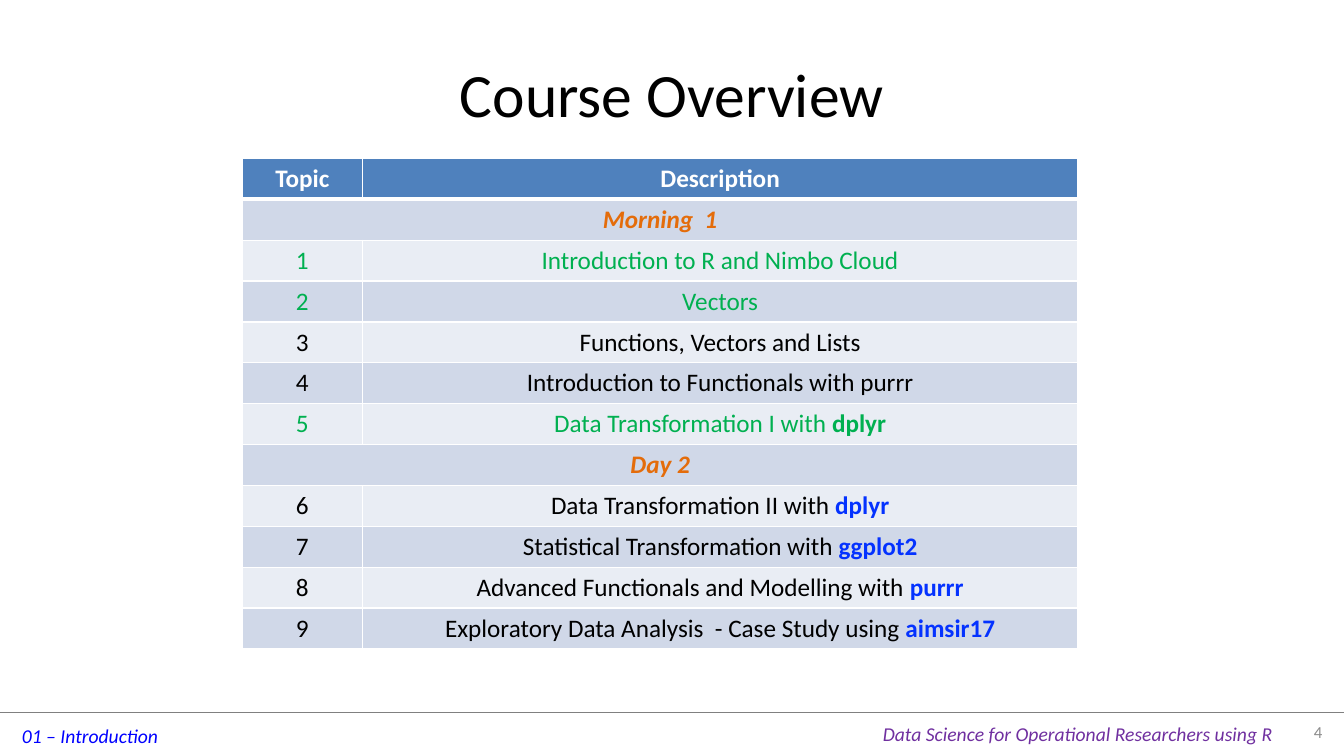
from lxml import etree
from pptx import Presentation
from pptx.dml.color import RGBColor
from pptx.enum.shapes import MSO_CONNECTOR
from pptx.enum.text import MSO_ANCHOR, PP_ALIGN
from pptx.oxml.ns import qn
from pptx.util import Pt

STRAIGHT = MSO_CONNECTOR.STRAIGHT
TOP, MIDDLE = MSO_ANCHOR.TOP, MSO_ANCHOR.MIDDLE
LEFT, CENTER, RIGHT = PP_ALIGN.LEFT, PP_ALIGN.CENTER, PP_ALIGN.RIGHT

FONT = "Calibri"
WHITE = RGBColor(0xFF, 0xFF, 0xFF)
BLACK = RGBColor(0x00, 0x00, 0x00)
GREEN = RGBColor(0x00, 0xB0, 0x50)
ORANGE = RGBColor(0xE4, 0x6C, 0x0A)
PACKAGE_BLUE = RGBColor(0x04, 0x32, 0xFF)
FOOTER_BLUE = RGBColor(0x00, 0x00, 0xFF)
PURPLE = RGBColor(0x70, 0x30, 0xA0)
NUMBER_GRAY = RGBColor(0x8C, 0x8C, 0x8C)
RULE_GRAY = RGBColor(0x80, 0x80, 0x80)
HEADER_FILL = RGBColor(0x4F, 0x81, 0xBD)
DARK_BAND = RGBColor(0xD0, 0xD8, 0xE8)
LIGHT_BAND = RGBColor(0xE9, 0xED, 0xF4)

SLIDE_WIDTH, SLIDE_HEIGHT = 960, 540
TABLE_LEFT, TABLE_TOP = 173.1, 113.2
COLUMN_WIDTHS = (85.7, 511.2)
ROW_HEIGHT = 29.2
THIN, THICK = 1, 3

# Sessions, each with its topics: description, package name, text and package colours
SESSIONS = [
    ("Morning  1", [
        ("Introduction to R and Nimbo Cloud", "", GREEN, GREEN),
        ("Vectors", "", GREEN, GREEN),
        ("Functions, Vectors and Lists", "", BLACK, BLACK),
        ("Introduction to Functionals with purrr", "", BLACK, BLACK),
        ("Data Transformation I with ", "dplyr", GREEN, GREEN),
    ]),
    ("Day 2", [
        ("Data Transformation II with ", "dplyr", BLACK, PACKAGE_BLUE),
        ("Statistical Transformation with ", "ggplot2", BLACK, PACKAGE_BLUE),
        ("Advanced Functionals and Modelling with ", "purrr", BLACK, PACKAGE_BLUE),
        ("Exploratory Data Analysis  - Case Study using ", "aimsir17", BLACK, PACKAGE_BLUE),
    ]),
]


def add_run(paragraph, text, size, color, bold=False, italic=False):
    run = paragraph.add_run()
    run.text = text
    font = run.font
    font.name, font.size, font.bold, font.italic = FONT, Pt(size), bold, italic
    font.color.rgb = color


def add_label(slide, box, text, size, color, align=LEFT, anchor=TOP, italic=False, wrap=True):
    frame = slide.shapes.add_textbox(*map(Pt, box)).text_frame
    frame.word_wrap = wrap
    frame.vertical_anchor = anchor
    paragraph = frame.paragraphs[0]
    paragraph.alignment = align
    add_run(paragraph, text, size, color, italic=italic)


def add_footer_rule(slide, y):
    rule = slide.shapes.add_connector(STRAIGHT, Pt(0), Pt(y), Pt(SLIDE_WIDTH), Pt(y))
    rule.line.color.rgb = RULE_GRAY
    rule.line.width = Pt(0.25)
    etree.SubElement(rule._element.spPr, qn("a:effectLst"))


def set_borders(cell, top, bottom):
    """Draw white borders; the XML schema wants them ahead of the cell fill."""
    properties = cell._tc.get_or_add_tcPr()
    widths = {"a:lnL": THIN, "a:lnR": THIN, "a:lnT": top, "a:lnB": bottom}
    for position, (tag, width) in enumerate(widths.items()):
        border = etree.Element(qn(tag), w=str(Pt(width)))
        fill = etree.SubElement(border, qn("a:solidFill"))
        etree.SubElement(fill, qn("a:srgbClr"), val=str(WHITE))
        properties.insert(position, border)


def style_cells(table):
    for index, row in enumerate(table.rows):
        row.height = Pt(ROW_HEIGHT)
        band = DARK_BAND if index % 2 else LIGHT_BAND
        for cell in row.cells:
            cell.fill.solid()
            cell.fill.fore_color.rgb = band if index else HEADER_FILL
            set_borders(cell, THICK if index == 1 else THIN, THIN if index else THICK)


def write_cell(cell, text, color, bold=False, italic=False):
    paragraph = cell.text_frame.paragraphs[0]
    paragraph.alignment = CENTER
    add_run(paragraph, text, 18, color, bold, italic)
    return paragraph


def add_course_table(slide):
    row_count = 1 + sum(1 + len(topics) for _, topics in SESSIONS)
    table = slide.shapes.add_table(
        row_count, len(COLUMN_WIDTHS), Pt(TABLE_LEFT), Pt(TABLE_TOP),
        Pt(sum(COLUMN_WIDTHS)), Pt(row_count * ROW_HEIGHT)).table
    for column, width in zip(table.columns, COLUMN_WIDTHS):
        column.width = Pt(width)
    style_cells(table)

    for column, heading in enumerate(("Topic", "Description")):
        write_cell(table.cell(0, column), heading, WHITE, bold=True)
    row, number = 1, 1
    for session, topics in SESSIONS:
        table.cell(row, 0).merge(table.cell(row, 1))
        write_cell(table.cell(row, 0), session, ORANGE, bold=True, italic=True)
        row += 1
        for description, package, color, package_color in topics:
            write_cell(table.cell(row, 0), str(number), color)
            paragraph = write_cell(table.cell(row, 1), description, color)
            if package:
                add_run(paragraph, package, 18, package_color, bold=True)
            row += 1
            number += 1


def main():
    presentation = Presentation()
    presentation.slide_width = Pt(SLIDE_WIDTH)
    presentation.slide_height = Pt(SLIDE_HEIGHT)
    slide = presentation.slides.add_slide(presentation.slide_layouts[6])

    add_footer_rule(slide, 509)
    add_label(slide, (8.6, 513.4, 113, 24.2), "01 – Introduction", 14, FOOTER_BLUE,
              italic=True, wrap=False)
    add_label(slide, (623.5, 511.9, 296, 24.2), "Data Science for Operational Researchers using R",
              14, PURPLE, italic=True, wrap=False)
    add_label(slide, (48, 21.6, 864, 90), "Course Overview", 44, BLACK, CENTER, MIDDLE)
    add_label(slide, (912, 509, 39.6, 28), "4", 12, NUMBER_GRAY, RIGHT, MIDDLE)
    add_course_table(slide)

    presentation.save("out.pptx")


if __name__ == "__main__":
    main()
